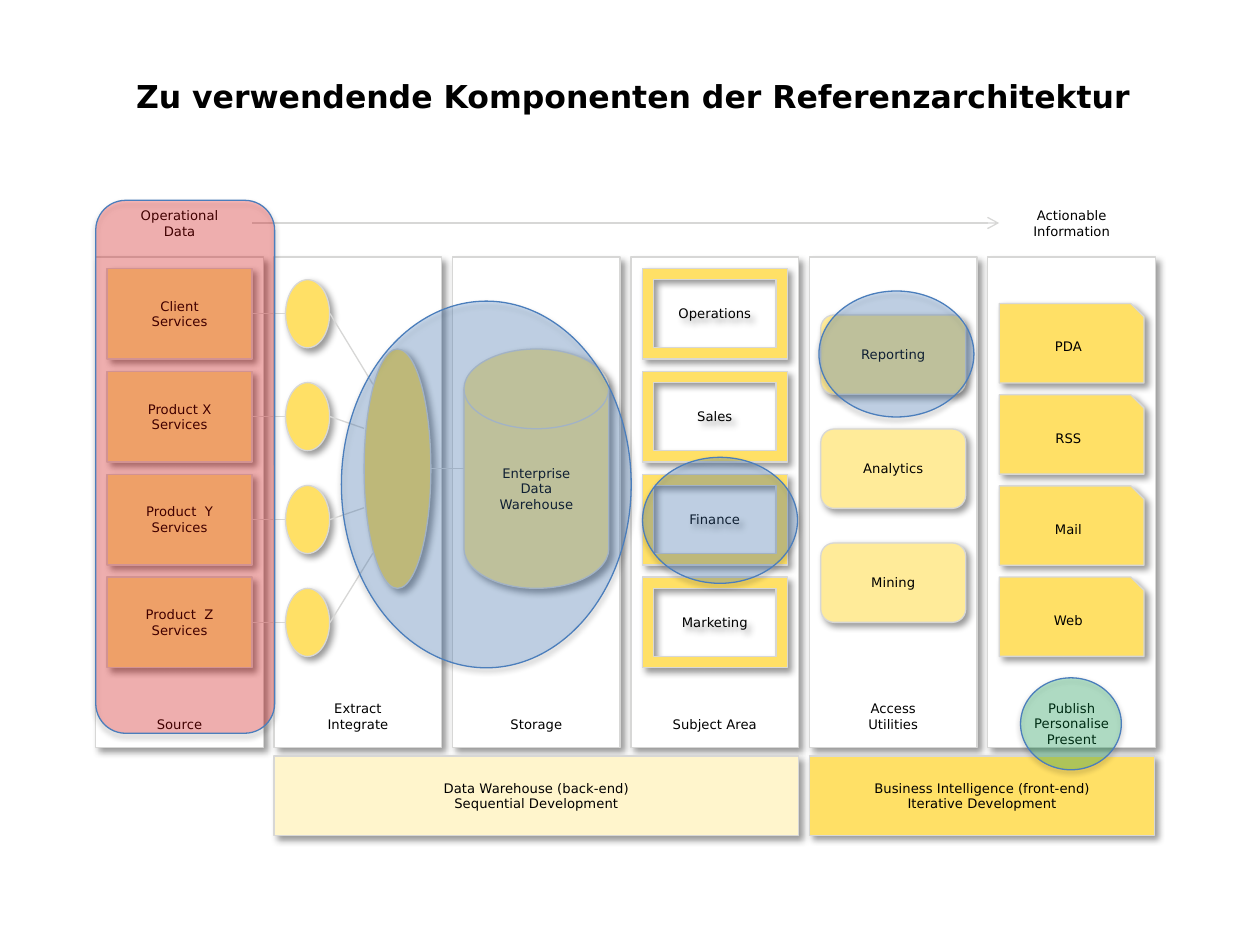
from dataclasses import dataclass

from lxml import etree
from pptx import Presentation
from pptx.dml.color import RGBColor
from pptx.enum.shapes import MSO_CONNECTOR, MSO_SHAPE
from pptx.enum.text import MSO_ANCHOR, MSO_AUTO_SIZE, PP_ALIGN
from pptx.oxml.ns import qn
from pptx.util import Inches, Pt

RECTANGLE = MSO_SHAPE.RECTANGLE
ROUNDED = MSO_SHAPE.ROUNDED_RECTANGLE
OVAL = MSO_SHAPE.OVAL
FRAME = MSO_SHAPE.FRAME
SNIPPED = MSO_SHAPE.SNIP_1_RECTANGLE
DISK = MSO_SHAPE.FLOWCHART_MAGNETIC_DISK
STRAIGHT = MSO_CONNECTOR.STRAIGHT
MIDDLE = MSO_ANCHOR.MIDDLE
BOTTOM = MSO_ANCHOR.BOTTOM
CENTER = PP_ALIGN.CENTER
NO_AUTOFIT = MSO_AUTO_SIZE.NONE

BLACK = RGBColor(0x00, 0x00, 0x00)
WHITE = RGBColor(0xFF, 0xFF, 0xFF)
GRAY = RGBColor(0xD7, 0xD7, 0xD6)
CREAM = RGBColor(0xFF, 0xF5, 0xCC)
PALE_YELLOW = RGBColor(0xFF, 0xEB, 0x99)
YELLOW = RGBColor(0xFF, 0xE0, 0x66)
BLUE = RGBColor(0x3F, 0x80, 0xCE)
RED = RGBColor(0xFF, 0x00, 0x00)
GREEN = RGBColor(0x00, 0xB0, 0x50)
OUTLINE = RGBColor(0x4B, 0x7E, 0xBC)

FONT = "DejaVu Sans"
COLUMN_LEFT = [0.76 + 7.08 / 5 * index for index in range(6)]
CARD_LEFT = [left + 0.09 for left in COLUMN_LEFT]
CARD_WIDTH = 1.15
ROW_TOP = [2.13 + 2.45 / 3 * index for index in range(4)]
LABEL_TOP = 1.59
BAR_TOP = 6.0


@dataclass(frozen=True)
class Shadow:
    alpha: int
    blur: float
    distance: float
    angle: int


CARD_SHADOW = Shadow(40, 4, 3, 45)
MARKER_SHADOW = Shadow(35, 3.1, 1.8, 90)


@dataclass
class Box:
    left: float
    top: float
    width: float
    height: float
    fill: RGBColor
    text: str = ""
    kind: MSO_SHAPE = RECTANGLE
    anchor: MSO_ANCHOR = MIDDLE
    bottom_inset: float = 0
    line: RGBColor = GRAY
    shadow: Shadow = CARD_SHADOW
    opacity: int = 100


@dataclass
class Link:
    start: tuple[float, float]
    end: tuple[float, float]
    arrow: bool = False


def set_text(shape, text: str, size: float, anchor: MSO_ANCHOR,
             bottom_inset: float = 0, wrap: bool = False, bold: bool = False) -> None:
    frame = shape.text_frame
    frame.text = text
    frame.auto_size = NO_AUTOFIT
    frame.word_wrap = wrap
    frame.vertical_anchor = anchor
    frame.margin_left = frame.margin_right = frame.margin_top = 0
    frame.margin_bottom = Inches(bottom_inset)
    for para in frame.paragraphs:
        para.alignment = CENTER
        for span in para.runs:
            span.font.name = FONT
            span.font.size = Pt(size)
            span.font.bold = bold
            span.font.color.rgb = BLACK


def add_shadow(shape, shadow: Shadow) -> None:
    shape.shadow.inherit = False
    effects = shape.element.spPr.find(qn("a:effectLst"))
    outer = etree.SubElement(
        effects, qn("a:outerShdw"), blurRad=str(Pt(shadow.blur)),
        dist=str(Pt(shadow.distance)), dir=str(shadow.angle * 60000),
        algn="ctr", rotWithShape="0")
    color = etree.SubElement(outer, qn("a:srgbClr"), val=str(BLACK))
    etree.SubElement(color, qn("a:alpha"), val=str(shadow.alpha * 1000))


def add_box(page, box: Box) -> None:
    shape = page.shapes.add_shape(
        box.kind, Inches(box.left), Inches(box.top), Inches(box.width), Inches(box.height))
    shape.fill.solid()
    shape.fill.fore_color.rgb = box.fill
    if box.opacity < 100:
        color = shape.element.spPr.find(qn("a:solidFill"))[0]
        etree.SubElement(color, qn("a:alpha"), val=str(box.opacity * 1000))
    shape.line.color.rgb = box.line
    shape.line.width = Pt(0.75)
    add_shadow(shape, box.shadow)
    if box.text:
        set_text(shape, box.text, 7.5, box.anchor, box.bottom_inset)


def add_link(page, link: Link) -> None:
    connector = page.shapes.add_connector(
        STRAIGHT, *(Inches(value) for value in link.start + link.end))
    connector.line.color.rgb = GRAY
    connector.line.width = Pt(0.75)
    properties = connector.element.spPr
    if link.arrow:
        etree.SubElement(properties.find(qn("a:ln")), qn("a:tailEnd"), type="arrow")
    etree.SubElement(properties, qn("a:effectLst"))


def add_label(page, left: float, text: str) -> None:
    label = page.shapes.add_textbox(
        Inches(left), Inches(LABEL_TOP), Inches(CARD_WIDTH), Inches(0.36))
    set_text(label, text, 7.5, MIDDLE)


def marker(left: float, top: float, width: float, height: float,
           fill: RGBColor, kind: MSO_SHAPE = OVAL) -> Box:
    return Box(left, top, width, height, fill, kind=kind, line=OUTLINE,
               shadow=MARKER_SHADOW, opacity=25)


def cards(column: int, tops: list[float], height: float, fill: RGBColor,
          kind: MSO_SHAPE, texts: list[str]) -> list[Box]:
    return [Box(CARD_LEFT[column], top, CARD_WIDTH, height, fill, text, kind)
            for top, text in zip(tops, texts)]


COLUMNS = [("Source", 0.12), ("Extract\nIntegrate", 0.12), ("Storage", 0.12),
           ("Subject Area", 0.12), ("Access\nUtilities", 0.12),
           ("Publish\nPersonalise\nPresent", 0)]
PANELS = [Box(left, 2.04, 1.33, 3.89, WHITE, text, anchor=BOTTOM, bottom_inset=inset)
          for left, (text, inset) in zip(COLUMN_LEFT, COLUMNS)]
CARDS = [
    *cards(0, ROW_TOP, 0.72, PALE_YELLOW, RECTANGLE,
           ["Client\nServices", "Product X\nServices",
            "Product  Y\nServices", "Product  Z\nServices"]),
    *cards(2, [2.77], 1.9, PALE_YELLOW, DISK, ["Enterprise\nData\nWarehouse"]),
    *[Box(CARD_LEFT[1], top + 0.09, 0.35, 0.54, YELLOW, kind=OVAL) for top in ROW_TOP],
    Box(2.89, 2.77, 0.53, 1.9, YELLOW, kind=OVAL),
    *cards(3, ROW_TOP, 0.72, YELLOW, FRAME,
           ["Operations", "Sales", "Finance", "Marketing"]),
    *cards(4, [2.5 + 0.905 * index for index in range(3)], 0.63, PALE_YELLOW, ROUNDED,
           ["Reporting", "Analytics", "Mining"]),
    *cards(5, [2.41 + 2.17 / 3 * index for index in range(4)], 0.63, YELLOW, SNIPPED,
           ["PDA", "RSS", "Mail", "Web"]),
    Box(COLUMN_LEFT[1], BAR_TOP, 4.16, 0.63, CREAM,
        "Data Warehouse (back-end)\nSequential Development"),
    Box(COLUMN_LEFT[4], BAR_TOP, 2.74, 0.63, YELLOW,
        "Business Intelligence (front-end)\nIterative Development"),
]
ROW_MIDDLE = [top + 0.36 for top in ROW_TOP]
HUB_POINTS = [(2.96, 3.05), (2.89, 3.4), (2.89, 4.03), (2.96, 4.39)]
LINKS = [
    *[Link((2.0, middle), (2.27, middle)) for middle in ROW_MIDDLE],
    *[Link((2.62, middle), point) for middle, point in zip(ROW_MIDDLE, HUB_POINTS)],
    Link((3.42, 3.72), (3.68, 3.72)),
    Link((2.0, 1.77), (7.93, 1.77), arrow=True),
]
MARKERS = [
    marker(2.71, 2.39, 2.3, 2.91, BLUE),
    marker(0.76, LABEL_TOP, 1.42, 4.23, RED, ROUNDED),
    marker(8.1, 5.38, 0.8, 0.73, GREEN),
    marker(5.1, 3.63, 1.23, 1, BLUE),
    marker(6.5, 2.31, 1.23, 1, BLUE),
]

deck = Presentation()
deck.slide_width, deck.slide_height = Inches(10), Inches(7.5)
page = deck.slides.add_slide(deck.slide_layouts[5])
title = page.shapes.title
title.left, title.top = Inches(0.52), Inches(0.29)
title.width, title.height = Inches(9.01), Inches(0.62)
set_text(title, "Zu verwendende Komponenten der Referenzarchitektur", 18, BOTTOM,
         wrap=True, bold=True)
for box in PANELS + CARDS:
    add_box(page, box)
for link in LINKS:
    add_link(page, link)
add_label(page, CARD_LEFT[0], "Operational\nData")
add_label(page, CARD_LEFT[5], "Actionable\nInformation")
for highlight in MARKERS:
    add_box(page, highlight)
deck.save("out.pptx")
